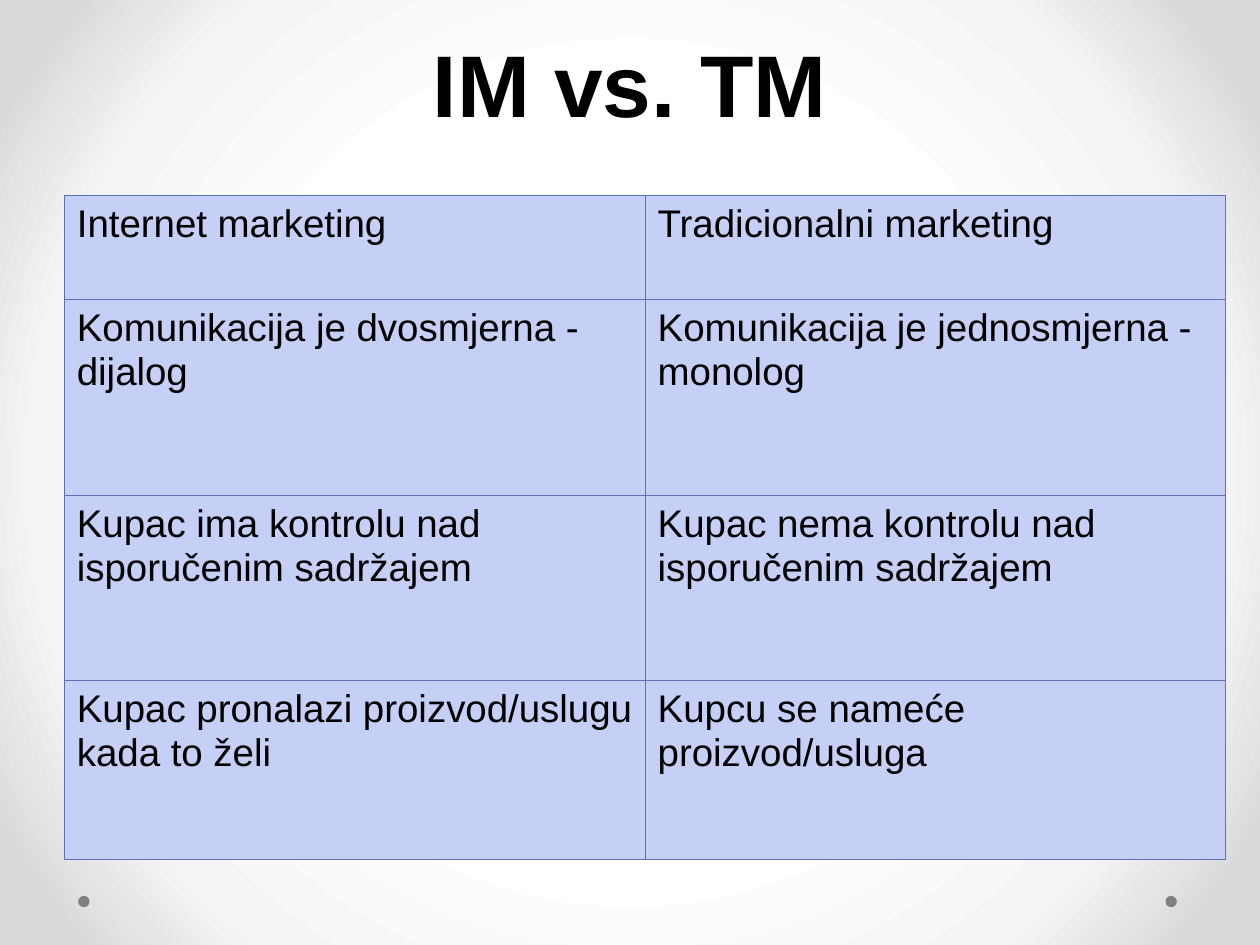
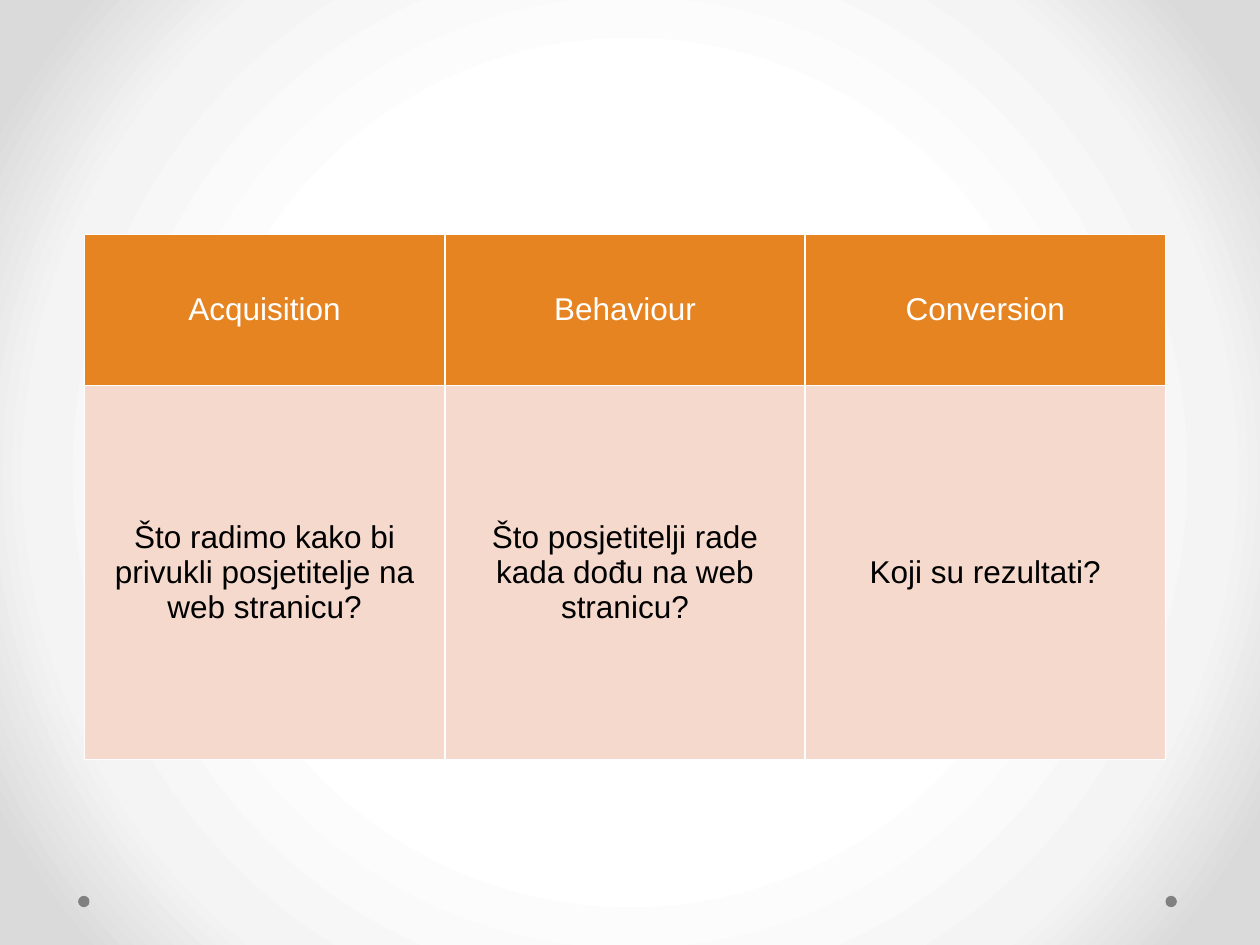
from lxml.etree import SubElement
from pptx import Presentation
from pptx.dml.color import RGBColor
from pptx.enum.shapes import MSO_SHAPE
from pptx.enum.text import MSO_ANCHOR, MSO_AUTO_SIZE, PP_ALIGN
from pptx.oxml import parse_xml
from pptx.oxml.ns import nsdecls, qn
from pptx.util import Pt

EMU_PER_PX = 9144
FONT = "Arial"
BLACK, WHITE, GREY = "000000", "FFFFFF", "808080"
PERIWINKLE, BLUE = "C6CFF6", "5C72B2"
ORANGE, PEACH = "E68422", "F5D9CD"
BACKGROUND_STOPS = [(50, WHITE), (76, "F4F4F4"), (92, "DADADA")]
TITLE_ONLY, BLANK = 5, 6

MARKETING_ROWS = [
    ("Internet marketing", "Tradicionalni marketing"),
    ("Komunikacija je dvosmjerna - dijalog", "Komunikacija je jednosmjerna - monolog"),
    ("Kupac ima kontrolu nad isporučenim sadržajem", "Kupac nema kontrolu nad isporučenim sadržajem"),
    ("Kupac pronalazi proizvod/uslugu kada to želi", "Kupcu se nameće proizvod/usluga"),
]
FUNNEL_ROWS = [
    ("Acquisition", "Behaviour", "Conversion"),
    (
        "Što radimo kako bi privukli posjetitelje na web stranicu?",
        "Što posjetitelji rade kada dođu na web stranicu?",
        "Koji su rezultati?",
    ),
]


def px(length):
    return length * EMU_PER_PX


def color(value):
    return RGBColor.from_string(value)


class Deck:
    def __init__(self, width, height):
        self.presentation = Presentation()
        self.presentation.slide_width = px(width)
        self.presentation.slide_height = px(height)
        self.slide = None
        self.paint_background()

    def paint_background(self):
        fill = self.presentation.slide_master.background.fill
        fill.solid()
        stops = "".join(
            f'<a:gs pos="{position * 1000}"><a:srgbClr val="{value}"/></a:gs>'
            for position, value in BACKGROUND_STOPS
        )
        gradient = parse_xml(
            f'<a:gradFill rotWithShape="1" {nsdecls("a")}><a:gsLst>{stops}</a:gsLst>'
            '<a:path path="circle"><a:fillToRect l="50000" t="50000" r="50000" b="50000"/></a:path>'
            "</a:gradFill>"
        )
        solid = next(self.presentation.slide_master.element.iter(qn("a:solidFill")))
        solid.getparent().replace(solid, gradient)

    def add_slide(self, layout):
        self.slide = self.presentation.slides.add_slide(self.presentation.slide_layouts[layout])
        for left in (925, 62):
            self.add_dot(left, 711, 9)

    def add_dot(self, left, top, size):
        shape = self.slide.shapes.add_shape(MSO_SHAPE.OVAL, px(left), px(top), px(size), px(size))
        shape.shadow.inherit = False
        shape.fill.solid()
        shape.fill.fore_color.rgb = color(GREY)
        shape.line.fill.background()

    def add_run(self, paragraph, text, size, value, bold=False):
        run = paragraph.add_run()
        run.text = text
        run.font.name = FONT
        run.font.size = Pt(size)
        run.font.bold = bold
        run.font.color.rgb = color(value)

    def add_title(self, text, left, top, width, height):
        title = self.slide.shapes.title
        title.left, title.top, title.width, title.height = map(px, (left, top, width, height))
        title.text_frame.auto_size = MSO_AUTO_SIZE.NONE
        title.text_frame.vertical_anchor = MSO_ANCHOR.BOTTOM
        paragraph = title.text_frame.paragraphs[0]
        paragraph.alignment = PP_ALIGN.CENTER
        paragraph.line_spacing = Pt(58)
        self.add_run(paragraph, text, 50, BLACK, bold=True)

    def set_borders(self, cell, value, width):
        properties = cell._tc.get_or_add_tcPr()
        for index, side in enumerate(("lnL", "lnR", "lnT", "lnB")):
            line = SubElement(properties, qn(f"a:{side}"), w=str(Pt(width)))
            solid = SubElement(line, qn("a:solidFill"))
            SubElement(solid, qn("a:srgbClr"), val=value)
            properties.insert(index, line)

    def add_table(self, rows, left, top, column_width, row_heights, row_colors, border, size,
                  alignment=PP_ALIGN.LEFT, anchor=MSO_ANCHOR.TOP, line_spacing=1.0):
        column_count = len(rows[0])
        table = self.slide.shapes.add_table(
            len(rows), column_count, px(left), px(top),
            px(column_width * column_count), px(sum(row_heights)),
        ).table
        table.first_row = table.horz_banding = False
        for column in table.columns:
            column.width = px(column_width)
        for row, texts, height, (fill, text_color) in zip(table.rows, rows, row_heights, row_colors):
            row.height = px(height)
            for cell, text in zip(row.cells, texts):
                cell.fill.solid()
                cell.fill.fore_color.rgb = color(fill)
                cell.vertical_anchor = anchor
                self.set_borders(cell, *border)
                paragraph = cell.text_frame.paragraphs[0]
                paragraph.alignment = alignment
                paragraph.line_spacing = line_spacing
                self.add_run(paragraph, text, size, text_color)


def main():
    deck = Deck(1000, 750)

    deck.add_slide(TITLE_ONLY)
    deck.add_title("IM vs. TM", 50, 21, 900, 91)
    deck.add_table(
        MARKETING_ROWS, 51, 155, 461, (83, 155, 147, 142),
        [(PERIWINKLE, BLACK)] * len(MARKETING_ROWS), (BLUE, 0.75), 22, line_spacing=1.02,
    )

    deck.add_slide(BLANK)
    deck.add_table(
        FUNNEL_ROWS, 67, 186, 286, (120, 297),
        [(ORANGE, WHITE), (PEACH, BLACK)], (WHITE, 1), 18,
        alignment=PP_ALIGN.CENTER, anchor=MSO_ANCHOR.MIDDLE,
    )

    deck.presentation.save("out.pptx")


if __name__ == "__main__":
    main()
